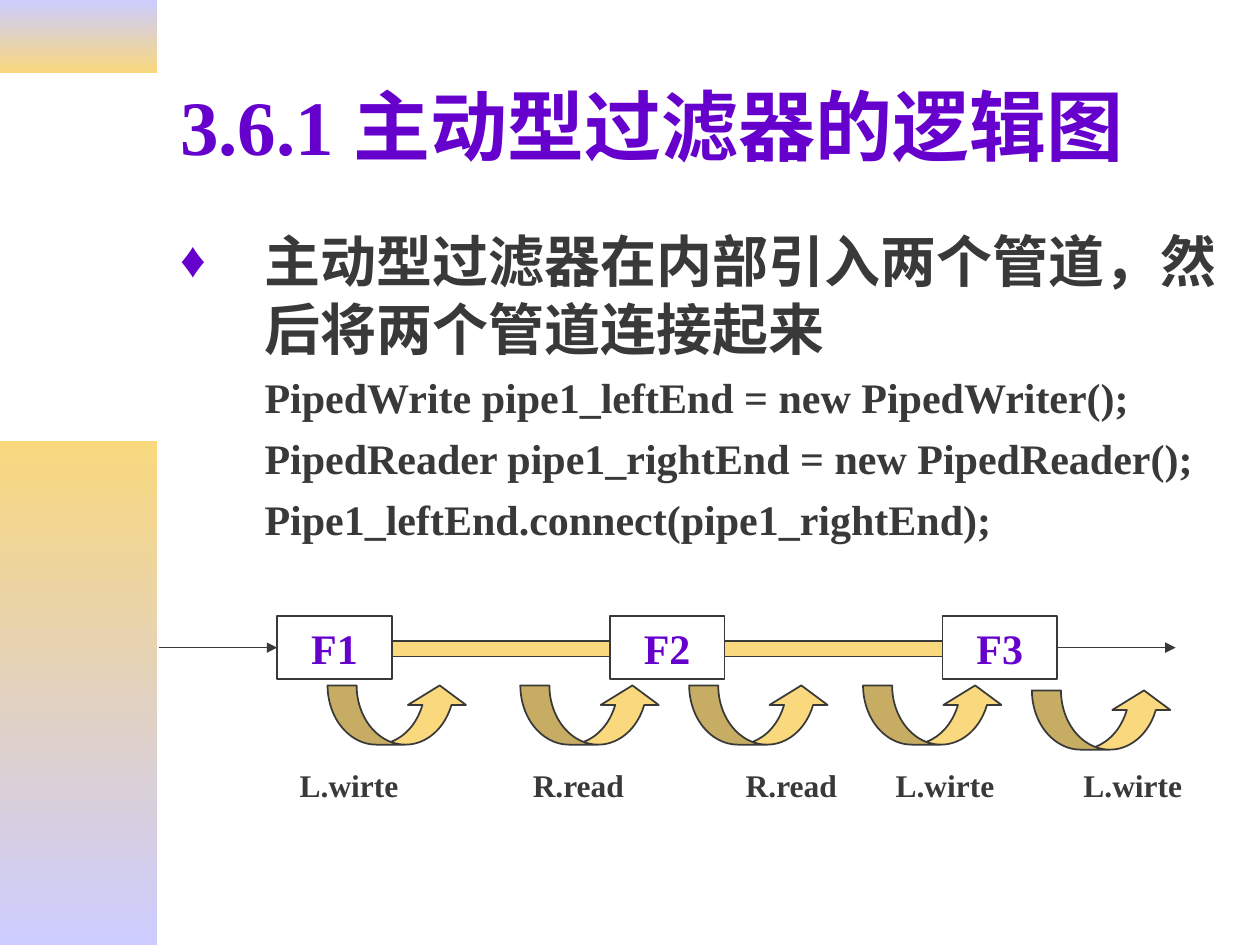
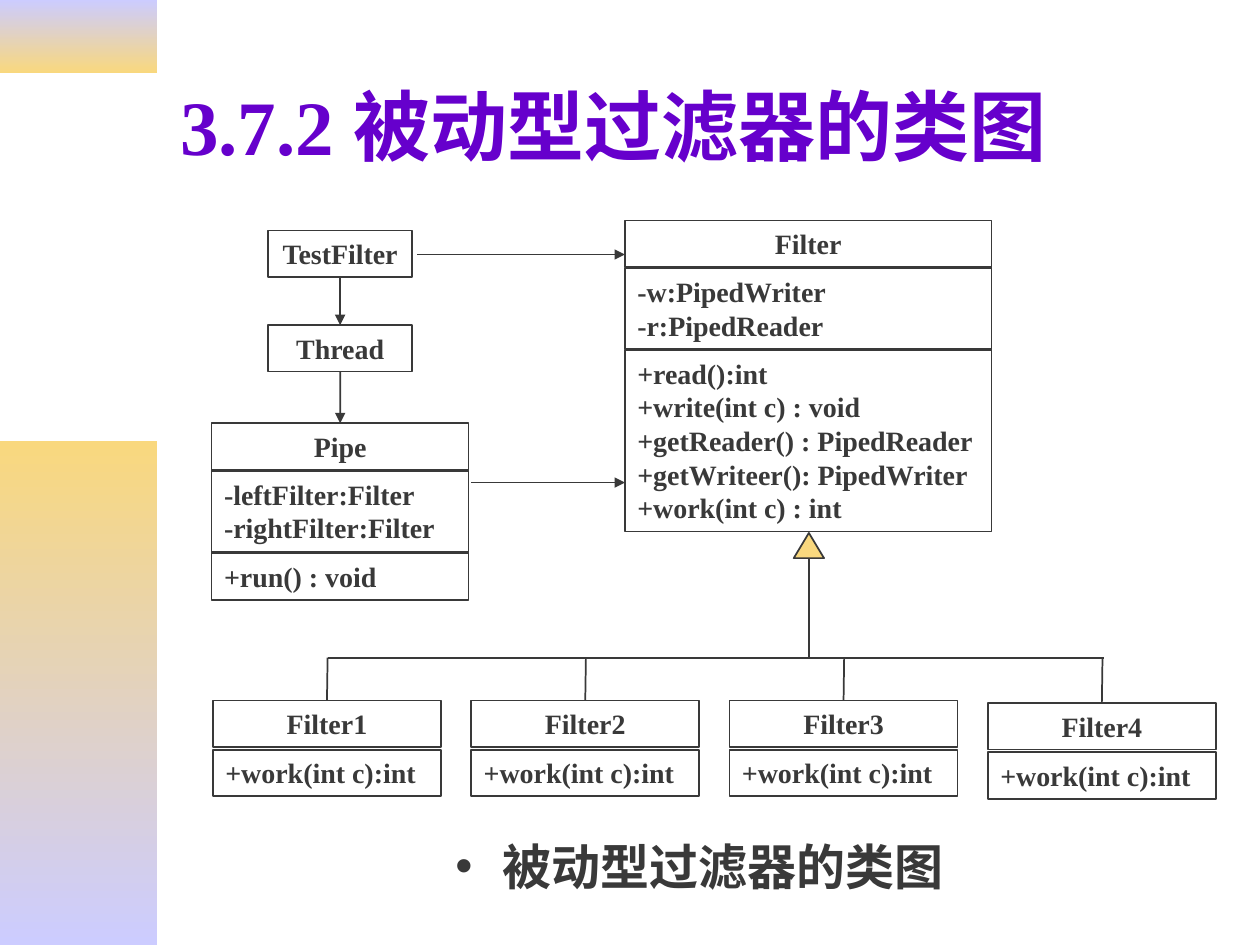
import pptx
import pptx.dml.color
import pptx.enum.dml
import pptx.enum.shapes
import pptx.enum.text
import pptx.oxml
import pptx.oxml.ns
import pptx.util
from lxml import etree

Inches = pptx.util.Inches
Pt = pptx.util.Pt
RGB = pptx.dml.color.RGBColor.from_string
SHAPE = pptx.enum.shapes.MSO_SHAPE
ALIGN = pptx.enum.text.PP_ALIGN
ANCHOR = pptx.enum.text.MSO_ANCHOR
qn = pptx.oxml.ns.qn

COLOURS = {"purple": "6600CC", "ink": "393939", "gold": "F9D87E", "lilac": "CCCCFF"}
FONT = "Times New Roman"


def write(frame, lines, size, colour="ink", align=ALIGN.LEFT):
    """Fill a text frame with one bold paragraph per line."""
    frame.word_wrap = True
    frame.auto_size = pptx.enum.text.MSO_AUTO_SIZE.NONE
    frame.vertical_anchor = ANCHOR.TOP
    frame.text = "\n".join(lines)
    for paragraph in frame.paragraphs:
        paragraph.alignment = align
        paragraph.space_before = Pt(0)
        paragraph.font.name = FONT
        paragraph.font.size = Pt(size)
        paragraph.font.bold = True
        paragraph.font.color.rgb = RGB(COLOURS[colour])


def draw_line(slide, x1, y1, x2, y2, arrow=False):
    """Draw a thin straight line, with an arrowhead at its end if asked."""
    line = slide.shapes.add_connector(
        pptx.enum.shapes.MSO_CONNECTOR.STRAIGHT,
        Inches(x1), Inches(y1), Inches(x2), Inches(y2))
    line.line.width = Pt(1)
    line.line.color.rgb = RGB(COLOURS["ink"])
    if arrow:
        etree.SubElement(line.line._get_or_add_ln(), qn("a:tailEnd"), type="triangle")
    etree.SubElement(line._element.spPr, qn("a:effectLst"))
    return line


prs = pptx.Presentation()
prs.slide_width = Inches(10)
prs.slide_height = Inches(7.5)

# Shared layout: title and body places
layout = prs.slide_layouts[1]
for holder, (top, height) in zip(layout.placeholders, [(0.33, 1.32), (1.75, 2.94)]):
    holder.left, holder.top = Inches(1.33), Inches(top)
    holder.width, holder.height = Inches(8.5), Inches(height)

logic_slide = prs.slides.add_slide(layout)
class_slide = prs.slides.add_slide(layout)

# Shared gradient bands on the left, kept on the master
for top, height, start, end in [(0, 0.58, "lilac", "gold"), (3.5, 4, "gold", "lilac")]:
    band = logic_slide.shapes.add_shape(
        SHAPE.RECTANGLE, 0, Inches(top), Inches(1.25), Inches(height))
    band.shadow.inherit = False
    band.line.fill.background()
    band.fill.gradient()
    band.fill.gradient_angle = 270
    for stop, colour, position in zip(band.fill.gradient_stops, (start, end), (0, 1)):
        stop.color.rgb = RGB(COLOURS[colour])
        stop.position = position
    prs.slide_master.shapes.element.insert(2, band._element)

# Titles
for slide, title in [(logic_slide, "3.6.1 主动型过滤器的逻辑图"),
                     (class_slide, "3.7.2 被动型过滤器的类图")]:
    write(slide.shapes.title.text_frame, [title], 44, "purple")
    slide.shapes.title.text_frame.vertical_anchor = ANCHOR.MIDDLE

# Slide 1: statement with its code
explanation = logic_slide.placeholders[1].text_frame
explanation.text = "\n".join([
    "主动型过滤器在内部引入两个管道，然后将两个管道连接起来",
    "PipedWrite pipe1_leftEnd = new PipedWriter();",
    "PipedReader pipe1_rightEnd = new PipedReader();",
    "Pipe1_leftEnd.connect(pipe1_rightEnd);"])
explanation.auto_size = pptx.enum.text.MSO_AUTO_SIZE.NONE
for number, paragraph in enumerate(explanation.paragraphs):
    properties = paragraph._p.get_or_add_pPr()
    properties.set("marL", str(Inches(0.67)))
    if number == 0:
        properties.set("indent", str(-Inches(0.67)))
        bullet_colour = etree.SubElement(properties, qn("a:buClr"))
        etree.SubElement(bullet_colour, qn("a:srgbClr"), val=COLOURS["purple"])
        etree.SubElement(properties, qn("a:buSzPct"), val="90000")
        etree.SubElement(properties, qn("a:buFont"), typeface=FONT)
        etree.SubElement(properties, qn("a:buChar"), char="♦")
    else:
        properties.set("indent", "0")
        etree.SubElement(properties, qn("a:buNone"))
    paragraph.space_before = Pt(6 if number else 0)
    paragraph.font.name = FONT
    paragraph.font.size = Pt(24 if number else 32)
    paragraph.font.bold = True
    paragraph.font.color.rgb = RGB(COLOURS["ink"])

# Slide 1: filters joined by pipes
filters = []
for i in range(3):
    left = 2.2 + 2.64 * i
    stage = logic_slide.shapes.add_shape(
        SHAPE.RECTANGLE, Inches(left), Inches(4.89), Inches(0.91), Inches(0.5))
    write(stage.text_frame, [f"F{i + 1}"], 24, "purple", ALIGN.CENTER)
    filters.append(stage)
    if i < 2:
        logic_slide.shapes.add_shape(
            SHAPE.RECTANGLE, Inches(left + 0.91), Inches(5.09), Inches(1.73), Inches(0.12))
draw_line(logic_slide, 1.26, 5.14, 2.2, 5.14, arrow=True).end_connect(filters[0], 1)
draw_line(logic_slide, 8.39, 5.14, 9.33, 5.14, arrow=True).begin_connect(filters[2], 3)

# Slide 1: read and write calls under the pipes
for arrow_left, arrow_top, label_left, call in [
        (2.6, 5.44, 2.28, "L.wirte"), (4.13, 5.44, 4.13, "R.read"),
        (5.47, 5.44, 5.82, "R.read"), (6.85, 5.44, 7.01, "L.wirte"),
        (8.19, 5.48, 8.5, "L.wirte")]:
    turn = logic_slide.shapes.add_shape(
        SHAPE.CURVED_UP_ARROW, Inches(arrow_left), Inches(arrow_top), Inches(1.12), Inches(0.47))
    for k, adjustment in enumerate((0.49, 0.98, 0.33)):
        turn.adjustments[k] = adjustment
    label = logic_slide.shapes.add_textbox(
        Inches(label_left), Inches(6.03), Inches(1.02), Inches(0.4))
    write(label.text_frame, [call], 18)

# Slide 2: caption
caption = class_slide.placeholders[1]
caption.left, caption.top = Inches(1.3), Inches(6.59)
caption.width, caption.height = Inches(8.5), Inches(0.52)
caption_line = caption.text_frame.paragraphs[0]
caption_properties = caption_line._p.get_or_add_pPr()
caption_properties.set("marL", "0")
caption_properties.set("indent", "0")
etree.SubElement(caption_properties, qn("a:buNone"))
write(caption.text_frame, ["被动型过滤器的类图"], 28, align=ALIGN.CENTER)
caption_line.line_spacing = 0.8

# Slide 2: class compartments as left, top, width, height, lines
compartments = [
    (2.13, 1.83, 1.14, 0.37, ["TestFilter"]),
    (2.13, 2.58, 1.14, 0.37, ["Thread"]),
    (1.68, 3.36, 2.04, 0.37, ["Pipe"]),
    (1.68, 3.74, 2.04, 0.64, ["-leftFilter:Filter", "-rightFilter:Filter"]),
    (1.68, 4.39, 2.04, 0.37, ["+run() : void"]),
    (4.96, 1.75, 2.91, 0.37, ["Filter"]),
    (4.96, 2.13, 2.91, 0.64, ["-w:PipedWriter", "-r:PipedReader"]),
    (4.96, 2.78, 2.91, 1.44, [
        "+read():int", "+write(int c) : void", "+getReader() : PipedReader",
        "+getWriteer(): PipedWriter", "+work(int c) : int"]),
]
for i, top in enumerate((5.56, 5.56, 5.56, 5.58)):
    left = 1.69 + 2.05 * i
    compartments += [(left, top, 1.81, 0.37, [f"Filter{i + 1}"]),
                     (left, top + 0.39, 1.81, 0.37, ["+work(int c):int"])]
classes = {}
for left, top, width, height, lines in compartments:
    compartment = class_slide.shapes.add_shape(
        SHAPE.RECTANGLE, Inches(left), Inches(top), Inches(width), Inches(height))
    is_member = lines[0][0] in "+-"
    write(compartment.text_frame, lines, 16, align=ALIGN.LEFT if is_member else ALIGN.CENTER)
    if not is_member:
        classes[lines[0]] = compartment

# Slide 2: uses between classes
for user, used, y1, y2 in [("TestFilter", "Thread", 2.2, 2.58), ("Thread", "Pipe", 2.95, 3.36)]:
    use = draw_line(class_slide, 2.7, y1, 2.7, y2, arrow=True)
    use.begin_connect(classes[user], 2)
    use.end_connect(classes[used], 0)
draw_line(class_slide, 3.31, 2.02, 4.96, 2.02, arrow=True)
draw_line(class_slide, 3.74, 3.83, 4.96, 3.83, arrow=True)

# Slide 2: inheritance tree
class_slide.shapes.add_shape(
    SHAPE.ISOSCELES_TRIANGLE, Inches(6.3), Inches(4.23), Inches(0.24), Inches(0.2))
draw_line(class_slide, 6.42, 4.43, 6.42, 5.22)
draw_line(class_slide, 2.6, 5.22, 8.76, 5.22)
for i in range(4):
    x = 2.6 + 2.05 * i
    draw_line(class_slide, x, 5.22, x, 5.56).end_connect(classes[f"Filter{i + 1}"], 0)

# Outline every drawn shape; only those without text are gold
for slide in prs.slides:
    for shape in slide.shapes:
        if shape.shape_type != pptx.enum.shapes.MSO_SHAPE_TYPE.AUTO_SHAPE:
            continue
        shape.shadow.inherit = False
        shape.line.width = Pt(1)
        shape.line.color.rgb = RGB(COLOURS["ink"])
        if shape.text_frame.text:
            shape.fill.background()
        else:
            shape.fill.solid()
            shape.fill.fore_color.rgb = RGB(COLOURS["gold"])

prs.save("out.pptx")
